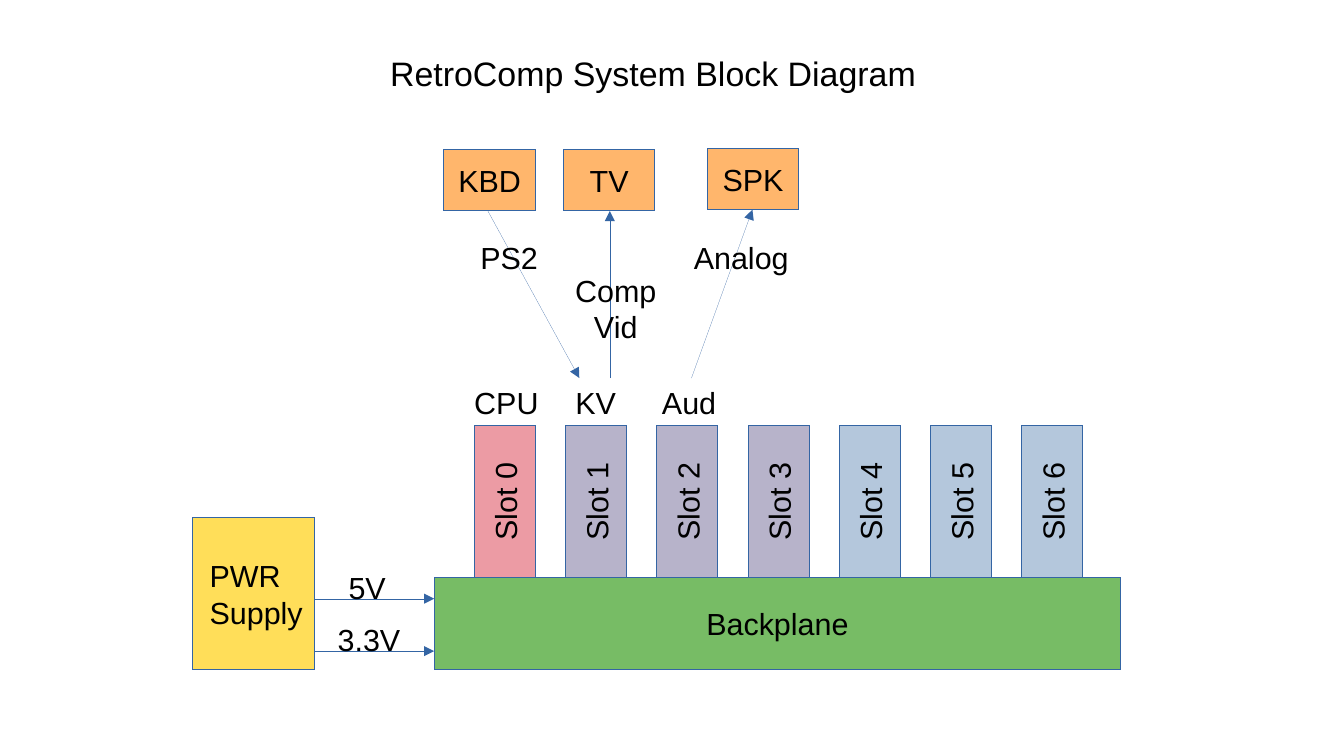
from lxml import etree
from pptx import Presentation
from pptx.dml.color import RGBColor
from pptx.enum.shapes import MSO_CONNECTOR as CONNECTOR, MSO_SHAPE as SHAPE
from pptx.enum.text import MSO_ANCHOR as ANCHOR, PP_ALIGN as ALIGN
from pptx.oxml.ns import qn
from pptx.util import Inches, Pt

OUTLINE = "3465A4"
RED, PURPLE, BLUE = "EC9BA4", "B7B3CA", "B4C7DC"
GREEN, YELLOW, ORANGE = "77BC65", "FFDE59", "FFB66C"
SLOT_COLORS = [RED] + [PURPLE] * 3 + [BLUE] * 3


def color(hex_string):
    return RGBColor.from_string(hex_string)


def set_hairline(shape):
    """Thinnest line; python-pptx leaves out a zero width, so write it directly."""
    shape.line.color.rgb = color(OUTLINE)
    outline = shape.line._get_or_add_ln()
    outline.set("w", "0")
    return outline


def write(shape, text, size, align):
    text_frame = shape.text_frame
    text_frame.text = text
    for paragraph in text_frame.paragraphs:
        paragraph.alignment = align
        for run in paragraph.runs:
            run.font.name = "Arial"
            run.font.size = Pt(size)
            run.font.color.rgb = color("000000")


def add_block(slide, left, top, width, height, fill, text="", rotation=0):
    shape = slide.shapes.add_shape(
        SHAPE.RECTANGLE, Inches(left), Inches(top), Inches(width), Inches(height))
    shape.rotation = rotation
    shape.shadow.inherit = False
    shape.fill.solid()
    shape.fill.fore_color.rgb = color(fill)
    set_hairline(shape)
    if text:
        shape.text_frame.vertical_anchor = ANCHOR.MIDDLE
        write(shape, text, 18, ALIGN.CENTER)


def add_label(slide, left, top, width, height, text, size=18, align=ALIGN.LEFT):
    label = slide.shapes.add_textbox(
        Inches(left), Inches(top), Inches(width), Inches(height))
    label.text_frame.word_wrap = True
    label.text_frame.margin_right = 0
    write(label, text, size, align)


def add_arrow(slide, x1, y1, x2, y2):
    arrow = slide.shapes.add_connector(
        CONNECTOR.STRAIGHT, Inches(x1), Inches(y1), Inches(x2), Inches(y2))
    etree.SubElement(set_hairline(arrow), qn("a:tailEnd"), type="triangle")
    etree.SubElement(arrow._element.spPr, qn("a:effectLst"))


def draw_backplane(slide, left, top, width, height):
    """Backplane with the slot cards standing on its top edge."""
    add_block(slide, left, top, width, height, GREEN, "Backplane")

    # Slot cards: lying rectangles turned upright about their centers
    length, thickness = 1.25, 0.5
    pitch = 4.49 / (len(SLOT_COLORS) - 1)
    for index, fill in enumerate(SLOT_COLORS):
        center_x = left + 0.58 + index * pitch
        center_y = top - length / 2
        add_block(slide, center_x - length / 2, center_y - thickness / 2,
                  length, thickness, fill, f"Slot {index}", 270)

    # Card names above the first slots
    for text, offset, label_width in [("CPU", 0.23, 0.73), ("KV", 1.06, 0.53),
                                      ("Aud", 1.77, 0.64)]:
        add_label(slide, left + offset, top - 1.64, label_width, 0.38, text)


def draw_power_supply(slide, left, top, width, height, backplane_left):
    """Power supply with its voltage lines to the backplane."""
    add_block(slide, left, top, width, height, YELLOW)
    add_label(slide, left + 0.04, top + 0.28, 0.96, 0.66, "PWR\nSupply")
    right = left + width
    for text, line_y, label_x, label_y, label_width in [
            ("5V", 0.67, 0.18, 0.38, 0.5), ("3.3V", 1.1, 0.09, 0.8, 0.71)]:
        add_arrow(slide, right, top + line_y, backplane_left, top + line_y)
        add_label(slide, right + label_x, top + label_y, label_width, 0.38, text)


def draw_peripherals(slide, left, top, height, card_top):
    """Peripherals with their signals to and from the cards below."""
    for text, offset, rise in [("KBD", 0, 0), ("TV", 0.98, 0), ("SPK", 2.16, 0.01)]:
        add_block(slide, left + offset, top - rise, 0.75, height, ORANGE, text)

    # Signal arrows
    bottom = top + height
    add_arrow(slide, left + 0.36, bottom, left + 1.11, card_top)
    add_arrow(slide, left + 1.36, card_top, left + 1.36, bottom)
    add_arrow(slide, left + 2.03, card_top, left + 2.53, bottom - 0.01)

    # Signal names
    add_label(slide, left + 0.2, bottom + 0.18, 0.67, 0.38, "PS2")
    add_label(slide, left + 0.93, bottom + 0.45, 0.86, 0.66, "Comp\nVid", align=ALIGN.CENTER)
    add_label(slide, left + 1.95, bottom + 0.18, 0.98, 0.38, "Analog")


def main():
    presentation = Presentation()
    presentation.slide_width = Inches(11.02)
    presentation.slide_height = Inches(6.2)
    slide = presentation.slides.add_slide(presentation.slide_layouts[6])

    add_label(slide, 3.1, 0.38, 4.51, 0.41, "RetroComp System Block Diagram", 20)
    draw_backplane(slide, 3.56, 4.74, 5.63, 0.75)
    draw_power_supply(slide, 1.58, 4.24, 1, 1.25, backplane_left=3.56)
    draw_peripherals(slide, 3.64, 1.23, 0.5, card_top=3.1)
    presentation.save("out.pptx")


if __name__ == "__main__":
    main()
